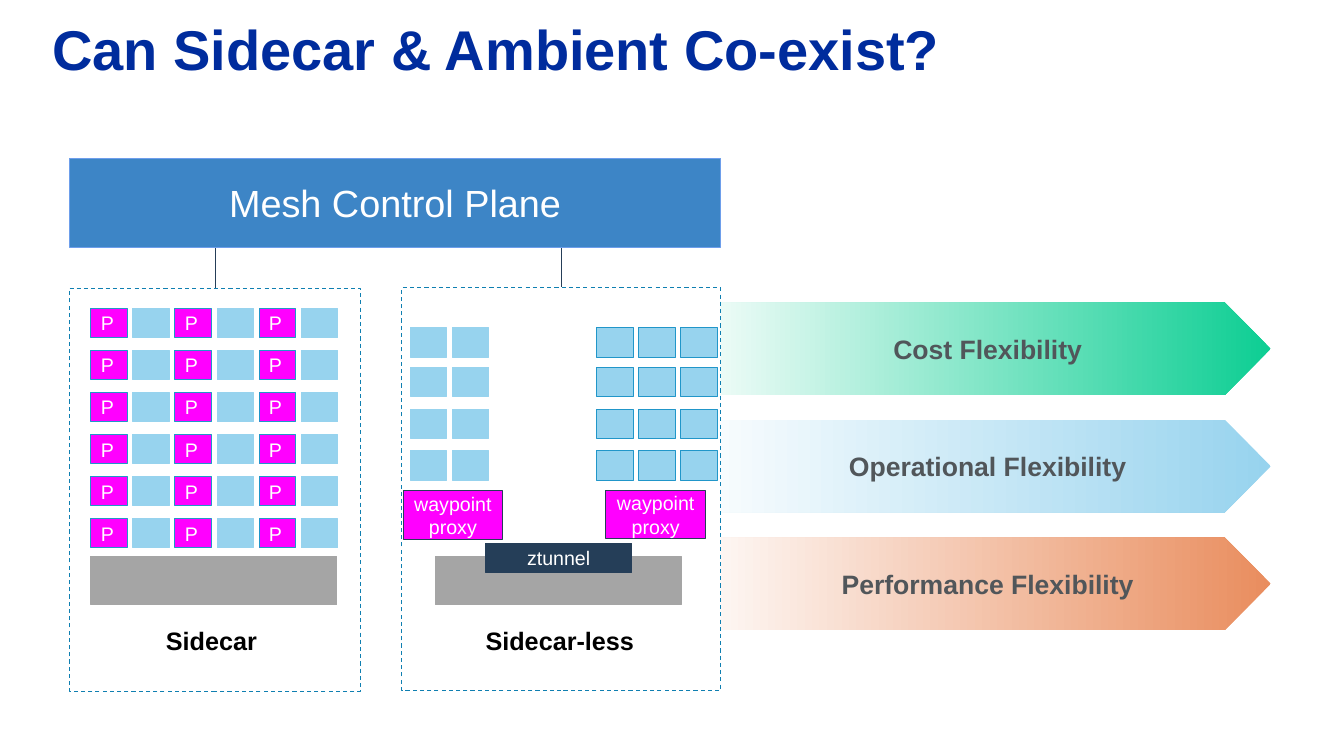
from dataclasses import dataclass
from typing import Optional

from lxml.etree import SubElement
from pptx import Presentation
from pptx.dml.color import RGBColor
from pptx.enum.dml import MSO_LINE
from pptx.enum.shapes import MSO_CONNECTOR, MSO_SHAPE
from pptx.enum.text import MSO_ANCHOR, MSO_AUTO_SIZE, PP_ALIGN
from pptx.oxml.ns import qn
from pptx.shapes.autoshape import Shape
from pptx.slide import Slide
from pptx.util import Cm, Pt

NAVY, MAGENTA, SKY, BLUE = "253E58", "FF00FF", "97D3EE", "2196C9"
GREY, WHITE = "A5A5A5", "FFFFFF"
CELL_PITCH = 1.06


@dataclass(frozen=True)
class Area:
    left: float
    top: float
    width: float
    height: float

    def lengths(self) -> tuple[Cm, Cm, Cm, Cm]:
        return Cm(self.left), Cm(self.top), Cm(self.width), Cm(self.height)


@dataclass(frozen=True)
class Mesh:
    name: str
    panel: Area
    node: Area
    label: Area


@dataclass(frozen=True)
class Benefit:
    name: str
    tip_color: str


@dataclass(frozen=True)
class PodGroup:
    columns: int
    left: float
    outline: str


MESHES = (
    Mesh("Sidecar-less", Area(10.13, 7.24, 8.03, 10.16),
         Area(10.97, 14.02, 6.2, 1.22), Area(10.44, 15.52, 7.34, 1.27)),
    Mesh("Sidecar", Area(1.75, 7.26, 7.34, 10.16),
         Area(2.29, 14.02, 6.2, 1.22), Area(2.13, 15.52, 6.4, 1.27)),
)
BENEFITS = (
    Benefit("Cost Flexibility", "0DCE93"),
    Benefit("Operational Flexibility", SKY),
    Benefit("Performance Flexibility", "E98D5E"),
)
POD_GROUPS = (PodGroup(2, 10.34, SKY), PodGroup(3, 15.04, BLUE))
POD_ROWS = (8.26, 9.25, 10.31, 11.36)
WAYPOINTS = (Area(10.16, 12.37, 2.51, 1.22), Area(15.27, 12.37, 2.51, 1.2))


def rgb(value: str) -> RGBColor:
    return RGBColor.from_string(value)


def write(shape: Shape, text: str, *, size: float, color: str = WHITE,
          bold: bool = False, align: PP_ALIGN = PP_ALIGN.CENTER,
          anchor: MSO_ANCHOR = MSO_ANCHOR.MIDDLE, margin: float = 0.25,
          line_spacing: Optional[float] = None, grow: bool = False) -> None:
    frame = shape.text_frame
    frame.word_wrap = True
    frame.auto_size = MSO_AUTO_SIZE.SHAPE_TO_FIT_TEXT if grow else MSO_AUTO_SIZE.NONE
    frame.vertical_anchor = anchor
    frame.margin_left = frame.margin_right = Cm(0.25)
    frame.margin_top = frame.margin_bottom = Cm(margin)
    paragraph = frame.paragraphs[0]
    paragraph.alignment = align
    paragraph.line_spacing = line_spacing
    run = paragraph.add_run()
    run.text = text
    run.font.name = "Arial"
    run.font.size = Pt(size)
    run.font.bold = bold
    run.font.color.rgb = rgb(color)


def add_box(slide: Slide, area: Area, fill: str, outline: str,
            dashed: bool = False) -> Shape:
    box = slide.shapes.add_shape(MSO_SHAPE.RECTANGLE, *area.lengths())
    box.shadow.inherit = False
    box.fill.solid()
    box.fill.fore_color.rgb = rgb(fill)
    box.line.color.rgb = rgb(outline)
    box.line.width = Pt(0.75)
    if dashed:
        box.line.dash_style = MSO_LINE.DASH
    return box


def add_label(slide: Slide, area: Area, text: str, size: float, color: str) -> None:
    label = slide.shapes.add_textbox(*area.lengths())
    write(label, text, size=size, color=color, bold=True,
          anchor=MSO_ANCHOR.TOP, grow=True)


def add_benefit(slide: Slide, benefit: Benefit, top: float) -> None:
    arrow = slide.shapes.add_shape(
        MSO_SHAPE.PENTAGON, *Area(16.92, top, 15.11, 2.34).lengths())
    arrow.shadow.inherit = False
    arrow.line.fill.background()
    arrow.fill.gradient()
    arrow.fill.gradient_angle = 180
    for stop, color in zip(arrow.fill.gradient_stops, (benefit.tip_color, WHITE)):
        stop.color.rgb = rgb(color)
    add_label(slide, Area(19.1, top + 0.51, 11.58, 1.32), benefit.name, 19, "51565A")


def add_mesh(slide: Slide, mesh: Mesh) -> None:
    panel = add_box(slide, mesh.panel, WHITE, "0F7FB1", dashed=True)
    middle = Cm(mesh.panel.left + mesh.panel.width / 2)
    link = slide.shapes.add_connector(
        MSO_CONNECTOR.STRAIGHT, middle, Cm(5.64), middle, Cm(mesh.panel.top))
    link.end_connect(panel, 0)
    link.line.color.rgb = rgb(NAVY)
    link.line.width = Pt(0.75)
    SubElement(link._element.spPr, qn("a:effectLst"))
    add_box(slide, mesh.node, GREY, GREY)
    add_label(slide, mesh.label, mesh.name, 18, "000000")


def cell(left: float, top: float) -> Area:
    return Area(left, top, 0.92, 0.74)


def main() -> None:
    deck = Presentation()
    deck.slide_width, deck.slide_height = Cm(33.87), Cm(19.05)
    slide = deck.slides.add_slide(deck.slide_layouts[6])

    # Title
    title = slide.shapes.add_textbox(*Area(1.07, -0.53, 29.21, 3.68).lengths())
    write(title, "Can Sidecar & Ambient Co-exist?", size=40, color="002C9D",
          bold=True, align=PP_ALIGN.LEFT, margin=0.13, line_spacing=0.9)

    # Benefit arrows
    for index, benefit in enumerate(BENEFITS):
        add_benefit(slide, benefit, 7.62 + index * 2.96)

    # Mesh panels with their links, nodes and labels
    for mesh in MESHES:
        add_mesh(slide, mesh)

    # Control plane
    control_plane = add_box(slide, Area(1.75, 3.99, 16.41, 2.24), "3D85C6", "6D9EEB")
    write(control_plane, "Mesh Control Plane", size=27)

    # Sidecar: proxies alternate with pods
    for column in range(6):
        for row in range(6):
            spot = cell(2.29 + column * CELL_PITCH, 7.77 + row * CELL_PITCH)
            if column % 2:
                add_box(slide, spot, SKY, SKY)
            else:
                proxy = add_box(slide, spot, MAGENTA, BLUE)
                write(proxy, "P", size=14, align=PP_ALIGN.LEFT)

    # Sidecar-less: pods, waypoint proxies and ztunnel
    for group in POD_GROUPS:
        for column in range(group.columns):
            for top in POD_ROWS:
                add_box(slide, cell(group.left + column * CELL_PITCH, top),
                        SKY, group.outline)
    for area in WAYPOINTS:
        write(add_box(slide, area, MAGENTA, NAVY), "waypoint proxy", size=14)
    ztunnel = add_box(slide, Area(12.24, 13.69, 3.68, 0.74), NAVY, NAVY)
    write(ztunnel, "ztunnel", size=14)

    deck.save("out.pptx")


if __name__ == "__main__":
    main()
